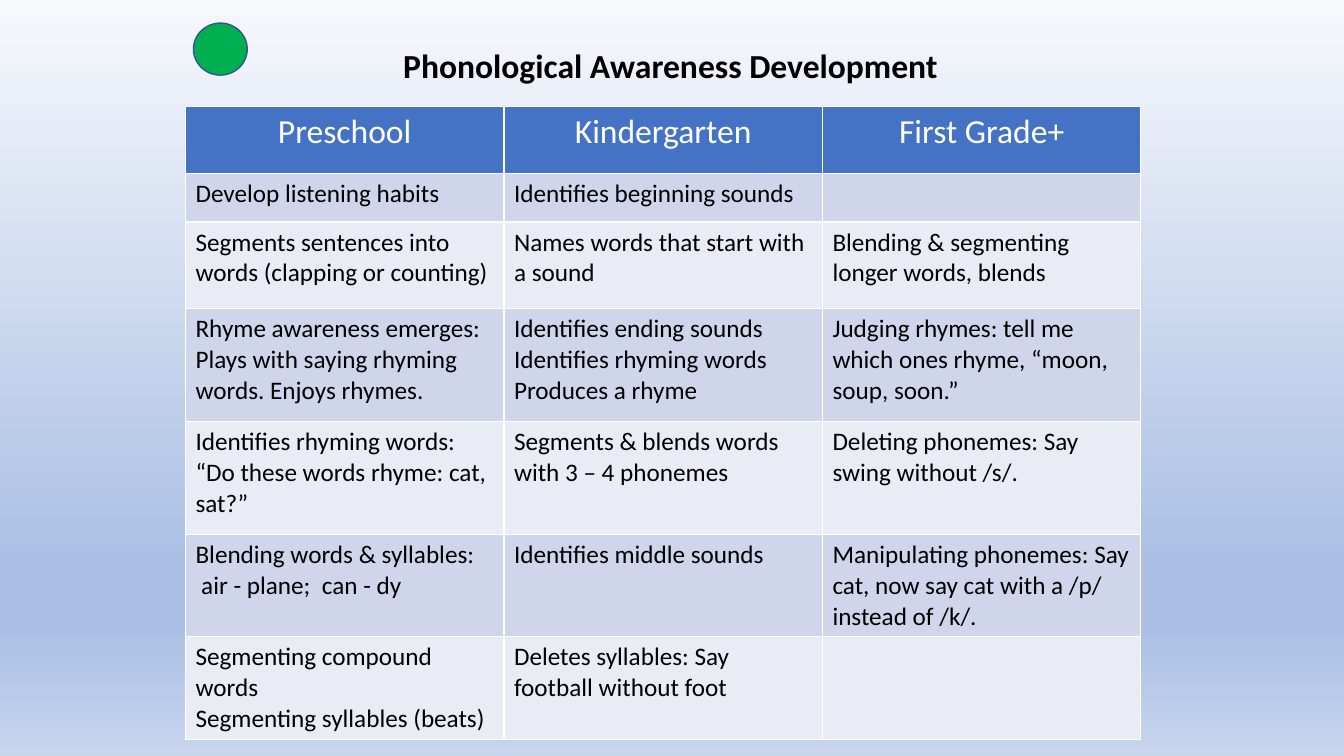
from copy import deepcopy

from pptx import Presentation
from pptx.dml.color import RGBColor
from pptx.enum.shapes import MSO_SHAPE
from pptx.enum.text import MSO_ANCHOR, MSO_AUTO_SIZE, PP_ALIGN
from pptx.oxml.ns import qn
from pptx.util import Pt


def rgb(hex_color):
    return RGBColor.from_string(hex_color)


def add_run(p, text, size, color, bold=False):
    r = p.add_run()
    r.text = text
    r.font.name = "Calibri"
    r.font.size = Pt(size)
    r.font.bold = bold
    r.font.color.rgb = rgb(color)


prs = Presentation()
prs.slide_width, prs.slide_height = Pt(960), Pt(540)
s = prs.slides.add_slide(prs.slide_layouts[5])

# Background: four-stop gradient running from top to bottom
stops = [(0, "F6F8FC"), (0.74, "ABC0E4"), (0.83, "ABC0E4"), (1, "C7D5ED")]
fill = s.background.fill
fill.gradient()
fill.gradient_angle = 270
stop_list = next(s.background.fill._xPr.iter(qn("a:gsLst")))
while len(stop_list) < len(stops):
    stop_list.append(deepcopy(stop_list[0]))
for stop, (position, color) in zip(fill.gradient_stops, stops):
    stop.position = position
    stop.color.rgb = rgb(color)

# Title
title = s.shapes.title
title.left, title.top, title.width, title.height = Pt(280.8), Pt(28.8), Pt(407.5), Pt(36)
tf = title.text_frame
tf.word_wrap = False
tf.auto_size = MSO_AUTO_SIZE.NONE
tf.vertical_anchor = MSO_ANCHOR.TOP
p = tf.paragraphs[0]
p.alignment = PP_ALIGN.LEFT
add_run(p, "Phonological Awareness Development", 24, "000000", bold=True)

# Skills by grade: each cell is a list of paragraphs
rows = [
    (47.5, [["Preschool"], ["Kindergarten"], ["First Grade+"]]),
    (34.8, [["Develop listening habits"], ["Identifies beginning sounds"], []]),
    (61.9, [["Segments sentences into words (clapping or counting)"],
            ["Names words that start with a sound"],
            ["Blending & segmenting longer words, blends"]]),
    (80.7, [["Rhyme awareness emerges:",
             "Plays with saying rhyming words. Enjoys rhymes."],
            ["Identifies ending sounds", "Identifies rhyming words", "Produces a rhyme"],
            ["Judging rhymes: tell me which ones rhyme, “moon, soup, soon.”"]]),
    (80.7, [["Identifies rhyming words: “Do these words rhyme: cat, sat?”"],
            ["Segments & blends words with 3 – 4 phonemes"],
            ["Deleting phonemes: Say swing without /s/."]]),
    (61.2, [["Blending words & syllables:", " air - plane;  can - dy"],
            ["Identifies middle sounds"],
            ["Manipulating phonemes: Say cat, now say cat with a /p/ instead of /k/."]]),
    (61.2, [["Segmenting compound words", "Segmenting syllables (beats)"],
            ["Deletes syllables: Say football without foot"], []]),
]
table = s.shapes.add_table(len(rows), 3, Pt(132.5), Pt(76.3), Pt(682.5), Pt(428)).table
for column in table.columns:
    column.width = Pt(227.5)

for i, (height, cells) in enumerate(rows):
    table.rows[i].height = Pt(height)
    header = i == 0
    band = "4472C4" if header else "CFD5EA" if i % 2 else "E9EBF5"
    for j, paragraphs in enumerate(cells):
        cell = table.cell(i, j)
        cell.fill.solid()
        cell.fill.fore_color.rgb = rgb(band)
        tf = cell.text_frame
        for k, text in enumerate(paragraphs):
            p = tf.add_paragraph() if k else tf.paragraphs[0]
            p.alignment = PP_ALIGN.CENTER if header else PP_ALIGN.LEFT
            add_run(p, text, 24 if header else 18, "FFFFFF" if header else "000000")

# Green marker
sp = s.shapes.add_shape(MSO_SHAPE.OVAL, Pt(138.2), Pt(16.5), Pt(38.4), Pt(37.2))
sp.shadow.inherit = False
sp.fill.solid()
sp.fill.fore_color.rgb = rgb("00B050")
sp.line.color.rgb = rgb("325491")
sp.line.width = Pt(1)

prs.save("out.pptx")
